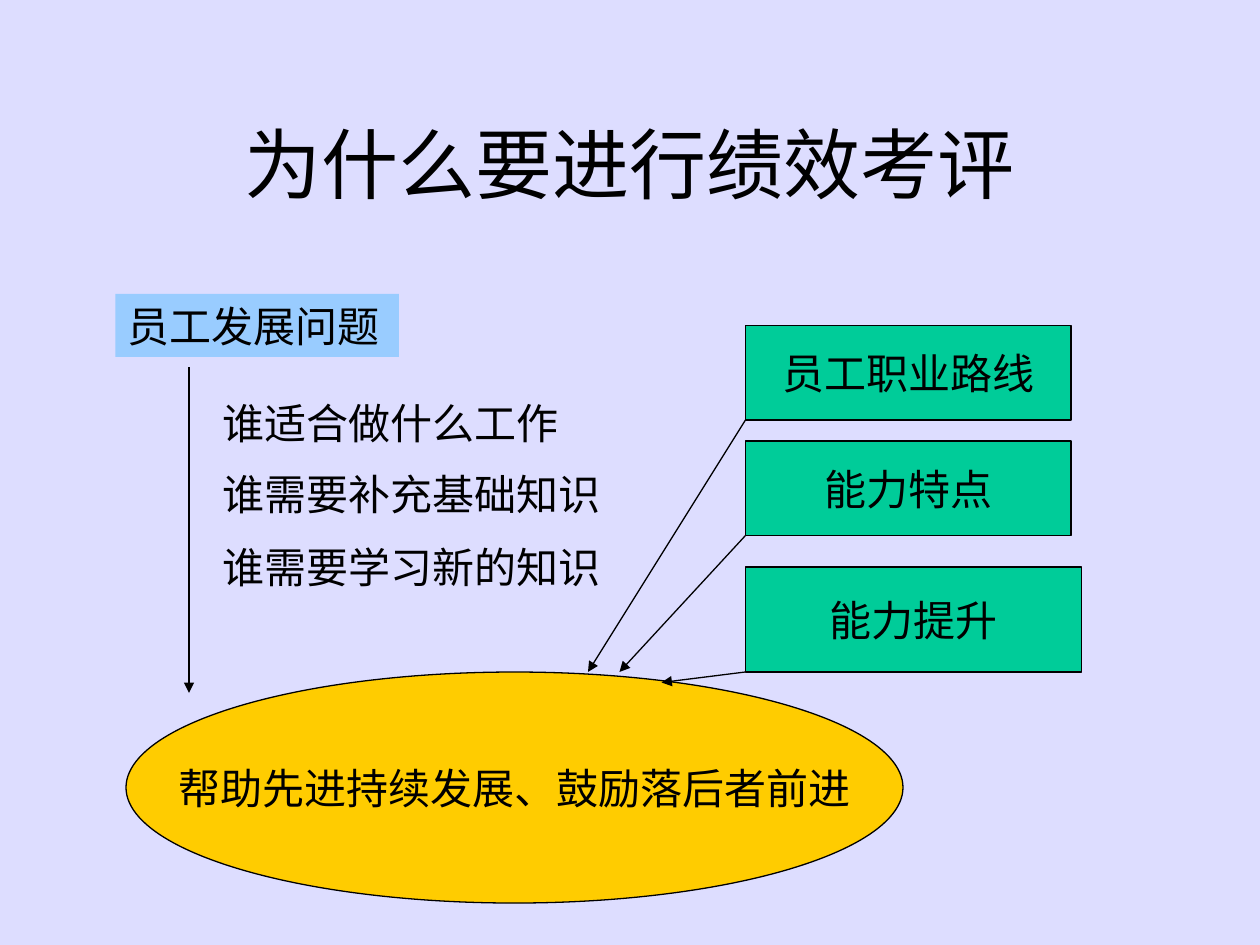
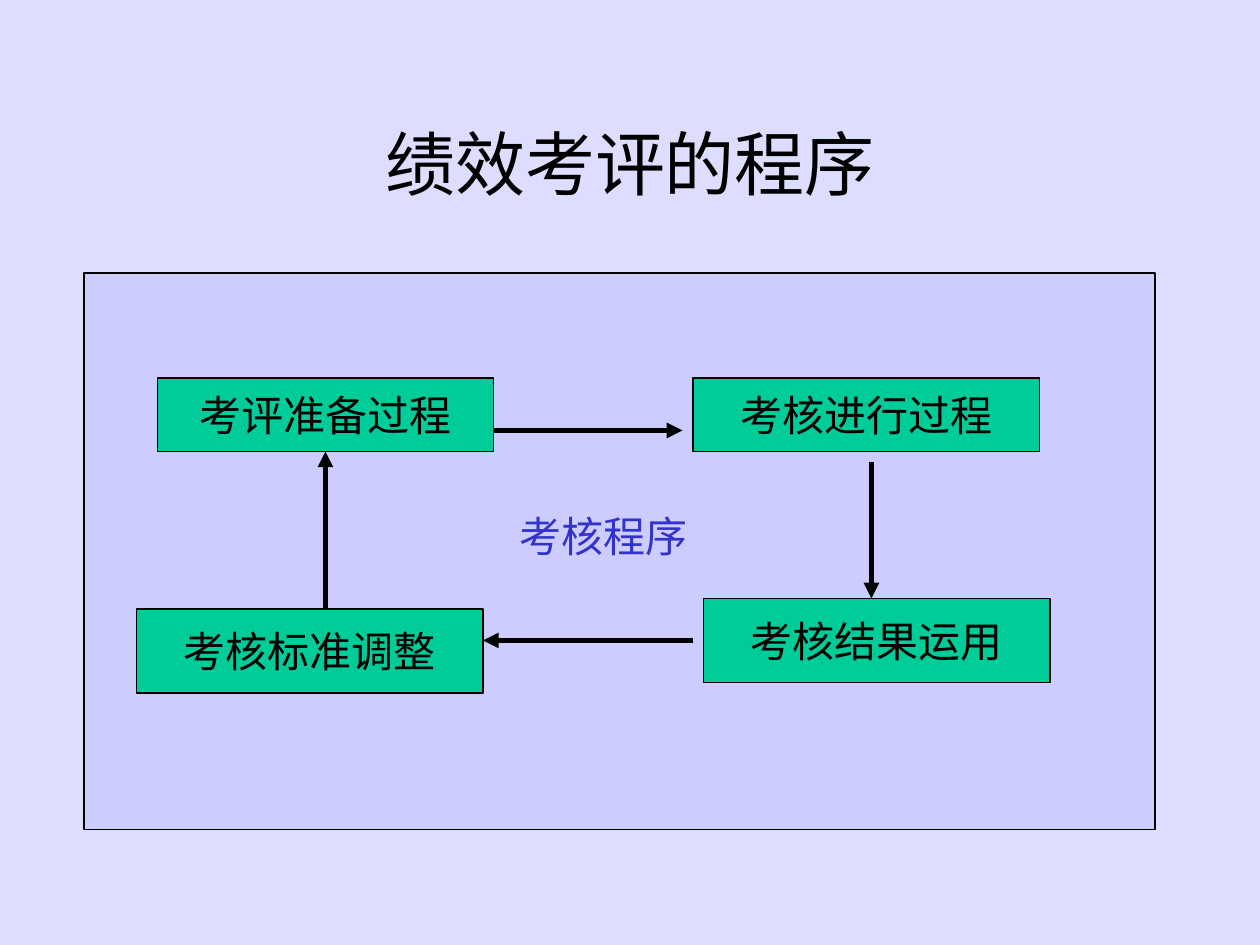
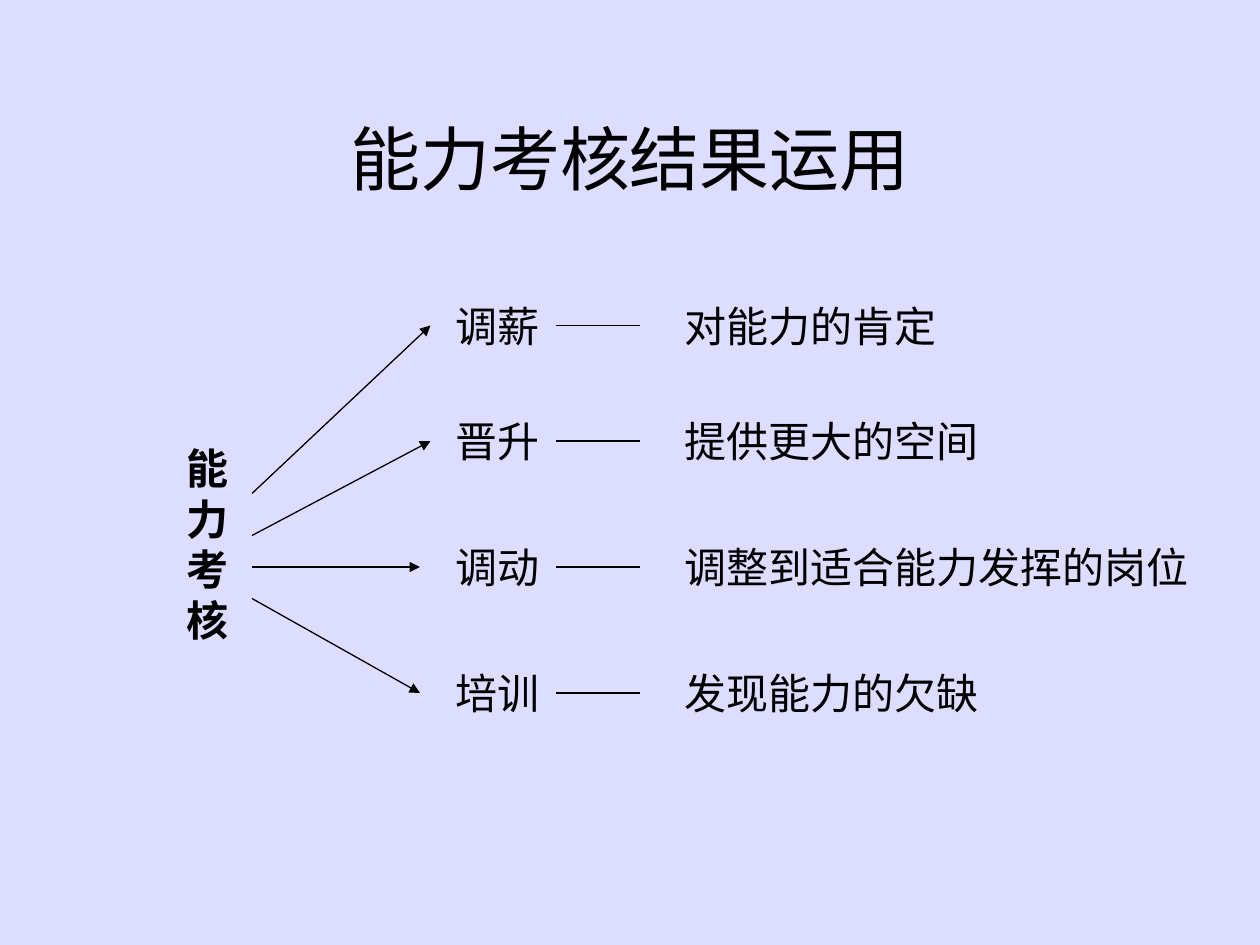
import pptx
import pptx.util
import pptx.dml.color
import pptx.enum.shapes
import pptx.enum.text
import pptx.oxml.ns
from lxml import etree

COLUMNS, ROWS = 120, 90
FONT = "Times New Roman"
BLACK, BLUE = "000000", "3333CC"
BACKGROUND, PANEL, LABEL, GREEN, GOLD = "DDDDFF", "CCCCFF", "99CCFF", "00CC99", "FFCC00"
RECTANGLE = pptx.enum.shapes.MSO_SHAPE.RECTANGLE
OVAL = pptx.enum.shapes.MSO_SHAPE.OVAL

PURPOSE_TITLE = "为什么要进行绩效考评"
PROBLEM = "员工发展问题"
QUESTIONS = [("谁适合做什么工作", 37.3), ("谁需要补充基础知识", 44), ("谁需要学习新的知识", 51)]
NEEDS = [
    ("员工职业路线", (71, 31, 31, 9), (56, 64)),
    ("能力特点", (71, 42, 31, 9), (59, 64)),
    ("能力提升", (71, 54, 32, 10), (63, 65)),
]
GOAL = "帮助先进持续发展、鼓励落后者前进"

PROCESS_TITLE = "绩效考评的程序"
PROCESS_NAME = "考核程序"
STEPS = [
    ("考评准备过程", (15, 36, 32, 7)),
    ("考核进行过程", (66, 36, 33, 7)),
    ("考核结果运用", (67, 57, 33, 8)),
    ("考核标准调整", (13, 58, 33, 8)),
]
STEP_ARROWS = [(47, 41, 65, 41), (83, 44, 83, 57), (66, 61, 46, 61), (31, 58, 31, 43)]

RESULT_TITLE = "能力考核结果运用"
SOURCE = "能力考核"
RESULTS = [
    ("调薪", "对能力的肯定", 31, 47, 41),
    ("晋升", "提供更大的空间", 42, 51, 41),
    ("调动", "调整到适合能力发挥的岗位", 54, 54, 40),
    ("培训", "发现能力的欠缺", 66, 57, 40),
]

deck = pptx.Presentation()
deck.slide_width = pptx.util.Inches(10)
deck.slide_height = pptx.util.Inches(7.5)


def across(columns):
    return round(deck.slide_width * columns / COLUMNS)


def down(rows):
    return round(deck.slide_height * rows / ROWS)


def place(cells):
    left, top, width, height = cells
    return across(left), down(top), across(width), down(height)


def color(value):
    return pptx.dml.color.RGBColor.from_string(value)


def paint(target, value):
    target.solid()
    target.fore_color.rgb = color(value)


def style(frame, size=24, ink=BLACK, bold=False, centered=True):
    align = pptx.enum.text.PP_ALIGN
    for para in frame.paragraphs:
        para.alignment = align.CENTER if centered else align.LEFT
        para.font.name = FONT
        para.font.size = pptx.util.Pt(size)
        para.font.bold = bold
        para.font.color.rgb = color(ink)


def add_page(title, size, top=8, height=15):
    page = deck.slides.add_slide(deck.slide_layouts[5])
    box = page.shapes.title
    box.left, box.top, box.width, box.height = place((9, top, 102, height))
    box.text_frame.text = title
    box.text_frame.auto_size = pptx.enum.text.MSO_AUTO_SIZE.NONE
    style(box.text_frame, size)
    return page


def add_block(page, cells, fill, text="", kind=RECTANGLE, outlined=True, ink=BLACK):
    block = page.shapes.add_shape(kind, *place(cells))
    block.shadow.inherit = False
    paint(block.fill, fill)
    if outlined:
        paint(block.line.fill, BLACK)
        block.line.width = pptx.util.Pt(0.75)
    else:
        block.line.fill.background()
    if text:
        frame = block.text_frame
        frame.text = text
        frame.word_wrap = False
        frame.vertical_anchor = pptx.enum.text.MSO_ANCHOR.MIDDLE
        style(frame, ink=ink)
    return block


def add_words(page, left, top, text, bold=False):
    lines = text.split("\n")
    width = 4 * max(len(line) for line in lines) + 2.4
    box = page.shapes.add_textbox(*place((left, top, width, 4.8 * len(lines) + 1.2)))
    frame = box.text_frame
    frame.text = text
    frame.word_wrap = False
    frame.auto_size = pptx.enum.text.MSO_AUTO_SIZE.SHAPE_TO_FIT_TEXT
    style(frame, bold=bold, centered=False)
    return box


def add_line(page, ends, weight=0.75, arrow=True):
    x1, y1, x2, y2 = ends
    line = page.shapes.add_connector(
        pptx.enum.shapes.MSO_CONNECTOR.STRAIGHT, across(x1), down(y1), across(x2), down(y2))
    paint(line.line.fill, BLACK)
    line.line.width = pptx.util.Pt(weight)
    if arrow:
        head = etree.SubElement(line.line._get_or_add_ln(), pptx.oxml.ns.qn("a:tailEnd"))
        head.set("type", "triangle")
    etree.SubElement(line._element.spPr, pptx.oxml.ns.qn("a:effectLst"))
    return line


def build_purpose():
    page = add_page(PURPOSE_TITLE, 44)
    add_block(page, (11, 28, 27, 6), LABEL, outlined=False)
    add_words(page, 11, 28, PROBLEM)
    for question, top in QUESTIONS:
        add_words(page, 20, top, question)
    add_block(page, (12, 64, 74, 22), GOLD, GOAL, OVAL)
    add_line(page, (18, 35, 18, 66))
    for need, cells, target in NEEDS:
        add_block(page, cells, GREEN, need)
        left, top, _, height = cells
        add_line(page, (left, top + height, *target))


def build_process():
    page = add_page(PROCESS_TITLE, 40)
    add_block(page, (8, 26, 102, 53), PANEL)
    blocks = [add_block(page, cells, GREEN, step) for step, cells in STEPS]
    arrows = [add_line(page, ends, 3) for ends in STEP_ARROWS]
    arrows[-1].end_connect(blocks[0], 2)
    add_block(page, (46, 48, 23, 6), PANEL, PROCESS_NAME, outlined=False, ink=BLUE)


def build_results():
    page = add_page(RESULT_TITLE, 40, 9, 12)
    add_words(page, 16.6, 41.6, "\n".join(SOURCE), bold=True)
    for action, meaning, middle, start, tip in RESULTS:
        add_words(page, 42.2, middle - 3, action)
        add_words(page, 64, middle - 3, meaning)
        add_line(page, (24, start, tip, middle))
        add_line(page, (53, middle, 61, middle), arrow=False)


def main():
    paint(deck.slide_master.background.fill, BACKGROUND)
    build_purpose()
    build_process()
    build_results()
    deck.save("out.pptx")


if __name__ == "__main__":
    main()
